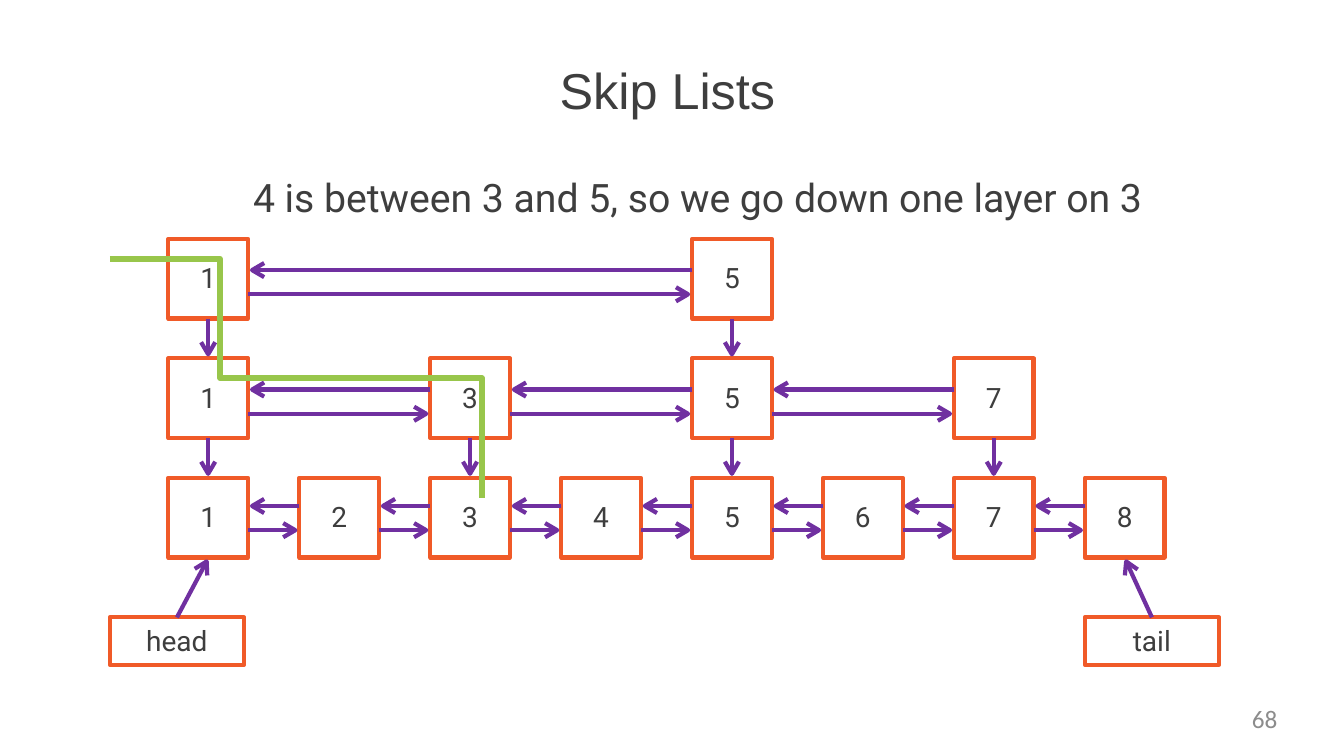
from itertools import pairwise
from math import hypot

from lxml import etree
from pptx import Presentation
from pptx.dml.color import RGBColor
from pptx.enum.shapes import MSO_CONNECTOR, MSO_SHAPE
from pptx.enum.text import MSO_ANCHOR, PP_ALIGN
from pptx.oxml.ns import qn
from pptx.util import Inches, Pt

STRAIGHT, RECTANGLE = MSO_CONNECTOR.STRAIGHT, MSO_SHAPE.RECTANGLE
MIDDLE = MSO_ANCHOR.MIDDLE
LEFT, CENTER, RIGHT = PP_ALIGN.LEFT, PP_ALIGN.CENTER, PP_ALIGN.RIGHT
SIDE_TOP, SIDE_BOTTOM = 0, 2

INK, GREY = "3E3E3E", "8C8C8C"
ORANGE, PURPLE, GREEN = "F05A28", "7030A0", "98C64B"

SLIDE_W, SLIDE_H = 13.33, 7.5
COLUMN, ROW = 9.09 / 7, 2.37 / 2
NODE = 0.79
TIP_GAP = 0.04
HEAD_LENGTH, HEAD_HALF = 0.12, 0.07
LAYERS = [[1, 5], [1, 3, 5, 7], [1, 2, 3, 4, 5, 6, 7, 8]]
BACK_OFFSETS = [0.31, 0.31, 0.28]
SEARCH_PATH = [1, 3]


def color(hex_code):
    return RGBColor.from_string(hex_code)


def set_text(shape, text, size, font="Roboto", ink=INK, align=LEFT):
    frame = shape.text_frame
    frame.word_wrap = True
    frame.vertical_anchor = MIDDLE
    frame.margin_left = frame.margin_right = frame.margin_top = 0
    frame.margin_bottom = Inches(0.02)
    paragraph = frame.paragraphs[0]
    paragraph.text = text
    paragraph.alignment = align
    paragraph.font.size = Pt(size)
    paragraph.font.name = font
    paragraph.font.color.rgb = color(ink)


def add_label(slide, box, text, size, **style):
    label = slide.shapes.add_textbox(*map(Inches, box))
    set_text(label, text, size, **style)


def set_outline(shape, hex_code, width):
    shape.shadow.inherit = False
    shape.fill.background()
    shape.line.color.rgb = color(hex_code)
    shape.line.width = Pt(width)


def add_cell(slide, box, text):
    cell = slide.shapes.add_shape(RECTANGLE, *map(Inches, box))
    set_outline(cell, ORANGE, 3)
    set_text(cell, text, 20, align=CENTER)
    return cell


def add_polyline(slide, points, hex_code, width):
    corners = [(Inches(x), Inches(y)) for x, y in points]
    builder = slide.shapes.build_freeform(*corners[0])
    builder.add_line_segments(corners[1:], close=False)
    set_outline(builder.convert_to_shape(), hex_code, width)


def add_arrow(slide, start, tip):
    """Draw a shaft with an open chevron at its tip, and return the shaft."""
    shaft = slide.shapes.add_connector(STRAIGHT, *map(Inches, (*start, *tip)))
    shaft.line.color.rgb = color(PURPLE)
    shaft.line.width = Pt(3)
    etree.SubElement(shaft._element.spPr, qn("a:effectLst"))

    (x, y), (start_x, start_y) = tip, start
    length = hypot(x - start_x, y - start_y)
    along_x, along_y = (x - start_x) / length, (y - start_y) / length
    base_x, base_y = x - HEAD_LENGTH * along_x, y - HEAD_LENGTH * along_y
    side_x, side_y = -HEAD_HALF * along_y, HEAD_HALF * along_x
    add_polyline(slide, [(base_x + side_x, base_y + side_y), tip,
                         (base_x - side_x, base_y - side_y)], PURPLE, 3)
    return shaft


def link_neighbours(slide, left_node, right_node, back):
    """Draw the backward arrow above the forward arrow."""
    start, end = left_node + NODE, right_node
    forward = back + 0.24
    add_arrow(slide, (end, back), (start + TIP_GAP, back))
    add_arrow(slide, (start, forward), (end - TIP_GAP, forward))


def add_search_path(slide, left, top):
    """Trace the search: along each layer to a key, then one layer down."""
    x, y = left - 0.58, top + NODE / 4
    points = [(x, y)]
    for key in SEARCH_PATH:
        x = left + (key - 1) * COLUMN + 0.65 * NODE
        points += [(x, y), (x, y + ROW)]
        y += ROW
    add_polyline(slide, points, GREEN, 4)


def add_skip_list(slide, left, top):
    above = {}
    for row, (keys, back) in enumerate(zip(LAYERS, BACK_OFFSETS)):
        layer_top = top + row * ROW
        lefts = {key: left + (key - 1) * COLUMN for key in keys}
        nodes = {key: add_cell(slide, (x, layer_top, NODE, NODE), str(key))
                 for key, x in lefts.items()}
        for left_node, right_node in pairwise(lefts.values()):
            link_neighbours(slide, left_node, right_node, layer_top + back)
        for key, upper in above.items():
            middle = lefts[key] + NODE / 2
            drop = add_arrow(slide, (middle, layer_top - ROW + NODE),
                             (middle, layer_top - TIP_GAP))
            drop.begin_connect(upper, SIDE_BOTTOM)
        above = nodes

    list_bottom = top + 2 * ROW + NODE
    pointer_top, pointer_width = top + 3 * ROW + 0.2, 1.33
    tail_left = left + (len(LAYERS[-1]) - 1) * COLUMN
    for name, x, tip_x in (("head", left - 0.58, left + 0.38),
                           ("tail", tail_left, tail_left + 0.41)):
        pointer = add_cell(slide, (x, pointer_top, pointer_width, 0.47), name)
        shaft = add_arrow(slide, (x + pointer_width / 2, pointer_top),
                          (tip_x, list_bottom + TIP_GAP))
        shaft.begin_connect(pointer, SIDE_TOP)
    add_search_path(slide, left, top)


def main():
    deck = Presentation()
    deck.slide_width, deck.slide_height = Inches(SLIDE_W), Inches(SLIDE_H)
    slide = deck.slides.add_slide(deck.slide_layouts[6])
    add_label(slide, (5.55, 0.58, 2.4, 0.63), "Skip Lists", 36, font="Arial")
    add_label(slide, (2.51, 1.71, 9.2, 0.5),
              "4 is between 3 and 5, so we go down one layer on 3", 28)
    add_skip_list(slide, 1.67, 2.37)
    add_label(slide, (9.6, 6.98, 3.07, 0.31), "68", 18,
              font="Calibri", ink=GREY, align=RIGHT)
    deck.save("out.pptx")


if __name__ == "__main__":
    main()
